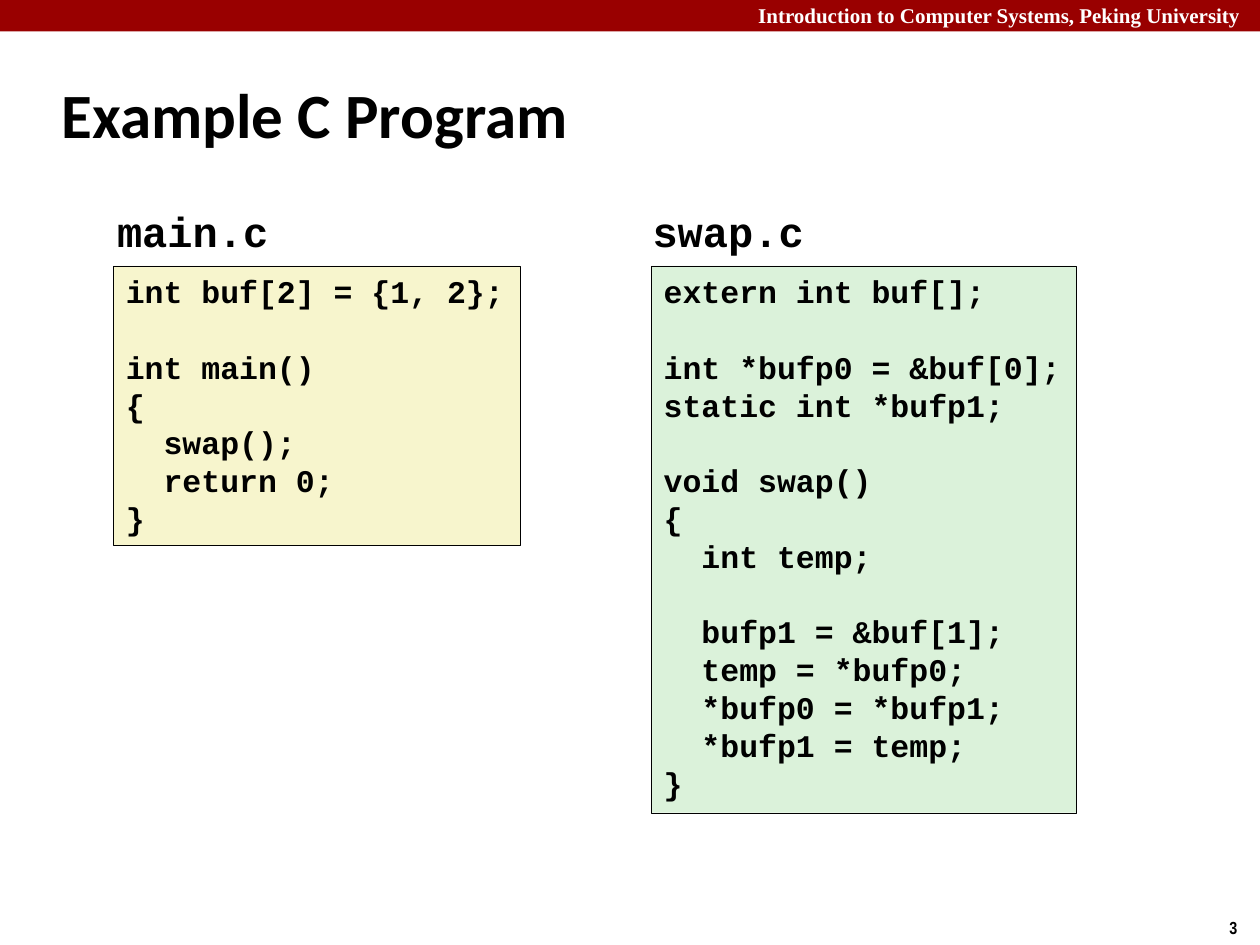
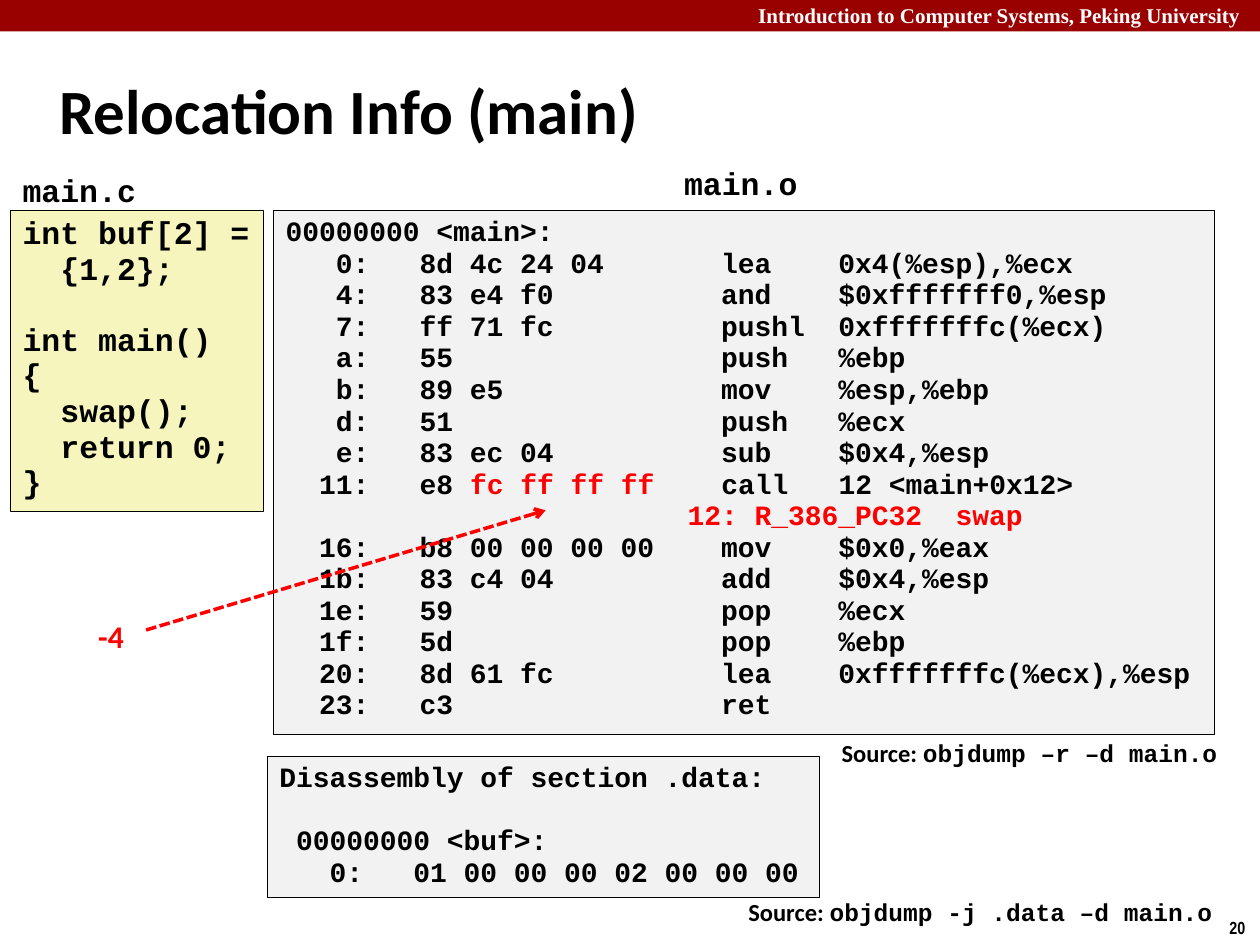
"""Build two slides on linking: an example C program and its relocation info."""
from dataclasses import dataclass

from lxml import etree
from pptx import Presentation
from pptx.dml.color import RGBColor
from pptx.enum.dml import MSO_LINE
from pptx.enum.shapes import MSO_CONNECTOR, MSO_SHAPE
from pptx.enum.text import MSO_ANCHOR, MSO_AUTO_SIZE, PP_ALIGN
from pptx.oxml.ns import qn
from pptx.util import Pt

RECTANGLE = MSO_SHAPE.RECTANGLE
STRAIGHT = MSO_CONNECTOR.STRAIGHT
SHORT_DASH = MSO_LINE.SQUARE_DOT
TOP, MIDDLE = MSO_ANCHOR.TOP, MSO_ANCHOR.MIDDLE
LEFT = PP_ALIGN.LEFT
FIT_SHAPE, NO_FIT = MSO_AUTO_SIZE.SHAPE_TO_FIT_TEXT, MSO_AUTO_SIZE.NONE
TITLE_ONLY = 5


@dataclass(frozen=True)
class Theme:
    band: str = "990000"
    white: str = "FFFFFF"
    ink: str = "000000"
    accent: str = "FF0000"
    main_fill: str = "F7F5CD"
    swap_fill: str = "DBF2DA"
    source_fill: str = "F6F5BD"
    object_fill: str = "F2F2F2"
    sans: str = "Calibri"
    code: str = "Courier New"
    header: str = "Times New Roman"
    number: str = "Arial Narrow"
    title_size: int = 36
    file_size: int = 24
    code_size: int = 18
    listing_size: int = 16
    source_size: int = 14
    header_size: int = 12
    number_size: int = 10
    tight: float = 0.94


THEME = Theme()
HEADER = "Introduction to Computer Systems, Peking University"

MAIN_C = """int buf[2] = {1, 2};

int main()
{
  swap();
  return 0;
}"""

SWAP_C = """extern int buf[];

int *bufp0 = &buf[0];
static int *bufp1;

void swap()
{
  int temp;

  bufp1 = &buf[1];
  temp = *bufp0;
  *bufp0 = *bufp1;
  *bufp1 = temp;
}"""

MAIN_C_NARROW = MAIN_C.replace("= {1, 2};", "=\n  {1,2};")

BEFORE_CALL = """00000000 <main>:
   0:   8d 4c 24 04       lea    0x4(%esp),%ecx
   4:   83 e4 f0          and    $0xfffffff0,%esp
   7:   ff 71 fc          pushl  0xfffffffc(%ecx)
   a:   55                push   %ebp
   b:   89 e5             mov    %esp,%ebp
   d:   51                push   %ecx
   e:   83 ec 04          sub    $0x4,%esp"""

AFTER_CALL = """  16:   b8 00 00 00 00    mov    $0x0,%eax
  1b:   83 c4 04          add    $0x4,%esp
  1e:   59                pop    %ecx
  1f:   5d                pop    %ebp
  20:   8d 61 fc          lea    0xfffffffc(%ecx),%esp
  23:   c3                ret"""

DATA_SECTION = """Disassembly of section .data:

 00000000 <buf>:
   0:   01 00 00 00 02 00 00 00"""


@dataclass(frozen=True)
class Span:
    text: str
    color: str | None = None
    face: str | None = None


def color_of(value):
    return RGBColor.from_string(value)


class Deck:
    """Holds the theme, the presentation and the current slide."""

    def __init__(self, theme):
        self.theme = theme
        self.presentation = Presentation()
        self.presentation.slide_width = Pt(720)
        self.presentation.slide_height = Pt(540)
        self.slide = None

    def add_slide(self, title, number, box, spacing=None):
        theme = self.theme
        layout = self.presentation.slide_layouts[TITLE_ONLY]
        self.slide = self.presentation.slides.add_slide(layout)
        self.panel((0, 0, 720, 18), theme.band)
        self.text((426.2, -2.2, 293.8, 21.6), [HEADER], theme.header_size,
                  face=theme.header, color=theme.white, wrap=True)
        self.text((695.5, 520.5, 24.5, 19.4), [str(number)],
                  theme.number_size, face=theme.number)
        shape = self.slide.shapes.title
        shape.left, shape.top, shape.width, shape.height = map(Pt, box)
        self.fill_lines(shape.text_frame, [title], theme.title_size,
                        theme.sans, theme.ink, spacing)
        shape.text_frame.vertical_anchor = MIDDLE
        shape.text_frame.auto_size = NO_FIT

    def panel(self, box, fill, line=None):
        shape = self.slide.shapes.add_shape(RECTANGLE, *map(Pt, box))
        shape.shadow.inherit = False
        shape.fill.solid()
        shape.fill.fore_color.rgb = color_of(fill)
        if line:
            shape.line.color.rgb = color_of(line)
            shape.line.width = Pt(0.25)
        else:
            shape.line.fill.background()
        return shape

    def code(self, box, lines, fill, size, spacing=None):
        frame = self.panel(box, fill, self.theme.ink).text_frame
        self.fill_lines(frame, lines, size, self.theme.code, self.theme.ink,
                        spacing)
        self.fit(frame)

    def text(self, box, lines, size, face=None, color=None, spacing=None,
             wrap=False):
        frame = self.slide.shapes.add_textbox(*map(Pt, box)).text_frame
        self.fill_lines(frame, lines, size, face or self.theme.code,
                        color or self.theme.ink, spacing)
        self.fit(frame, wrap)

    def source(self, box, command):
        line = [Span("Source: ", face=self.theme.sans), Span(command)]
        self.text(box, [line], self.theme.source_size, spacing=0.98)

    def fit(self, frame, wrap=False):
        frame.vertical_anchor = TOP
        frame.word_wrap = wrap
        frame.auto_size = FIT_SHAPE

    def fill_lines(self, frame, lines, size, face, color, spacing):
        for index, line in enumerate(lines):
            paragraph = frame.add_paragraph() if index else frame.paragraphs[0]
            paragraph.alignment = LEFT
            if spacing:
                paragraph.line_spacing = spacing
            font = paragraph.font
            font.name, font.size, font.bold = face, Pt(size), True
            font.color.rgb = color_of(color)
            spans = [Span(line or " ")] if isinstance(line, str) else line
            for span in spans:
                run = paragraph.add_run()
                run.text = span.text
                if span.face:
                    run.font.name = span.face
                if span.color:
                    run.font.color.rgb = color_of(span.color)

    def dashed_arrow(self, start, end):
        connector = self.slide.shapes.add_connector(
            STRAIGHT, *map(Pt, (*start, *end)))
        connector.line.color.rgb = color_of(self.theme.accent)
        connector.line.width = Pt(2)
        connector.line.dash_style = SHORT_DASH
        properties = connector.element.spPr
        outline = properties.find(qn("a:ln"))
        etree.SubElement(outline, qn("a:tailEnd"), type="arrow")
        etree.SubElement(properties, qn("a:effectLst"))


def build_program(deck):
    theme = deck.theme
    deck.add_slide("Example C Program", 3, (28.1, 34.6, 597.6, 59.8))
    files = [
        ("main.c", MAIN_C, theme.main_fill, 59.8, (64.8, 152, 232.6, 159.8)),
        ("swap.c", SWAP_C, theme.swap_fill, 365.8, (372.2, 152, 242.6, 312.5)),
    ]
    for name, program, fill, label_left, box in files:
        deck.text((label_left, 113.8, 102, 36), [name], theme.file_size)
        deck.code(box, program.splitlines(), fill, theme.code_size)


def build_relocation(deck):
    theme = deck.theme
    deck.add_slide("Relocation Info (main)", 20, (26.6, 35.3, 686.2, 61.9), 0.82)
    call = [
        [Span("  11:   e8 "), Span("fc ff ff ff    ", theme.accent),
         Span("call   12 <main+0x12>")],
        [Span(" " * 24 + "12: R_386_PC32  swap", theme.accent)],
    ]
    listing = BEFORE_CALL.splitlines() + call + AFTER_CALL.splitlines()
    deck.code((5.8, 120.2, 144.7, 172), MAIN_C_NARROW.splitlines(),
              theme.source_fill, theme.code_size, theme.tight)
    deck.code((152.6, 432, 315.4, 80.6), DATA_SECTION.splitlines(),
              theme.object_fill, theme.listing_size, theme.tight)
    deck.code((156.2, 120.2, 537.8, 299.5), listing,
              theme.object_fill, theme.listing_size, theme.tight)
    deck.text((5.8, 94.3, 80, 28.8), ["main.c"], theme.code_size)
    deck.text((383.8, 90, 80, 28.8), ["main.o"], theme.code_size)
    deck.source((473.8, 419, 231.1, 24.5), "objdump –r –d main.o")
    deck.source((420.5, 509.8, 287.3, 24.5), "objdump -j .data –d main.o")
    deck.text((49, 349.2, 29.5, 28.8), ["-4"], theme.code_size,
              face=theme.sans, color=theme.accent)
    deck.dashed_arrow((83.5, 360), (311.8, 291.6))


def main():
    deck = Deck(THEME)
    build_program(deck)
    build_relocation(deck)
    deck.presentation.save("out.pptx")


if __name__ == "__main__":
    main()
